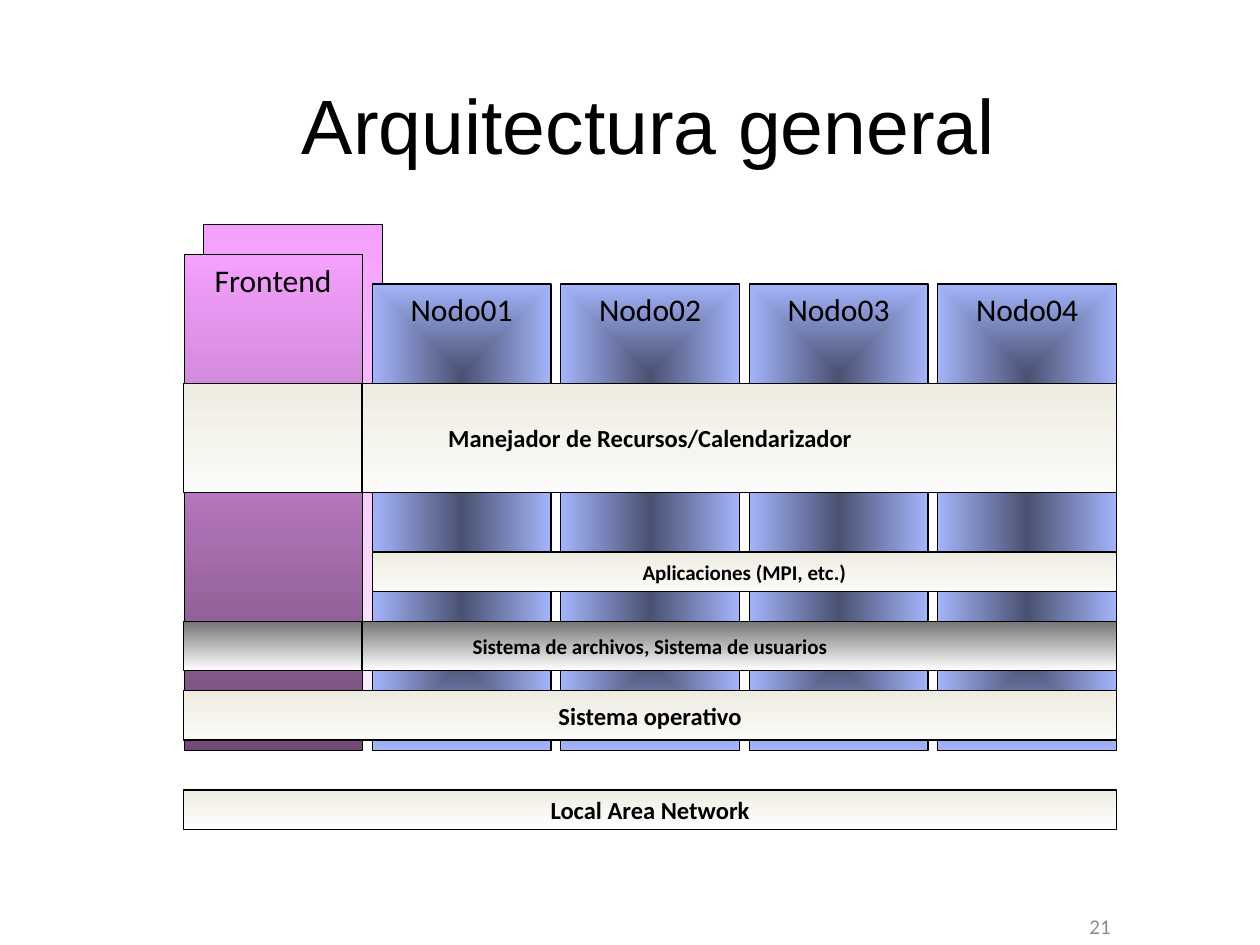
from lxml import etree
from pptx import Presentation
from pptx.dml.color import RGBColor
from pptx.enum.shapes import MSO_CONNECTOR, MSO_SHAPE
from pptx.enum.text import MSO_ANCHOR, PP_ALIGN
from pptx.oxml.ns import qn
from pptx.util import Pt

RECTANGLE = MSO_SHAPE.RECTANGLE
STRAIGHT = MSO_CONNECTOR.STRAIGHT
TOP, MIDDLE = MSO_ANCHOR.TOP, MSO_ANCHOR.MIDDLE
CENTER = PP_ALIGN.CENTER
color = RGBColor.from_string


def write(shape, text, size, anchor, bold=False, font="Calibri", ink="000000", wrap=False):
    frame = shape.text_frame
    frame.word_wrap = wrap
    frame.vertical_anchor = anchor
    paragraph = frame.paragraphs[0]
    paragraph.text = text
    paragraph.alignment = CENTER
    paragraph.font.name = font
    paragraph.font.size = Pt(size)
    paragraph.font.bold = bold
    paragraph.font.color.rgb = color(ink)


def add_block(left, top, width, height, start, end, line_width=0.75):
    shape = slide.shapes.add_shape(RECTANGLE, Pt(left), Pt(top), Pt(width), Pt(height))
    shape.shadow.inherit = False
    shape.fill.gradient()
    shape.fill.gradient_angle = 270
    for stop, shade in zip(shape.fill.gradient_stops, (start, end)):
        stop.color.rgb = color(shade)
    shape.line.color.rgb = color("000000")
    shape.line.width = Pt(line_width)
    return shape


presentation = Presentation()
presentation.slide_width = Pt(720)
presentation.slide_height = Pt(540)
slide = presentation.slides.add_slide(presentation.slide_layouts[6])

left, column_width, pitch = 105, 102.2, 107.7
node_left = left + pitch
full_width = 4 * pitch + column_width
node_span = full_width - pitch

add_block(116.3, 128.2, column_width, 289.4, "F5A0FE", "FDF3FF")
frontend = add_block(left, 145.4, column_width, 283.4, "F5A0FE", "704A75", 0.25)
write(frontend, "Frontend", 18, TOP)

for index in range(4):
    node = add_block(node_left + index * pitch, 162.3, column_width, 266.5, "4A5272", "A4B4FA")
    linear = node.fill._xPr.find(".//" + qn("a:lin"))
    path = etree.Element(qn("a:path"), path="shape")
    etree.SubElement(path, qn("a:fillToRect"), l="50000", t="50000", r="50000", b="50000")
    linear.getparent().replace(linear, path)
    write(node, f"Nodo{index + 1:02}", 18, TOP)

layers = [
    ("Local Area Network", left, 451.4, full_width, 22.6, "EEECE1", "FFFFFF", 14),
    ("Sistema de archivos, Sistema de usuarios", left, 355, full_width, 28.3, "757575", "FFFFFF", 12),
    ("Aplicaciones (MPI, etc.)", node_left, 315.4, node_span, 22.6, "EEECE1", "FBFBF9", 12),
    ("Sistema operativo", left, 394.6, full_width, 28.3, "EEECE1", "FAFAF7", 14),
    ("Manejador de Recursos/Calendarizador", left, 219, full_width, 62.4, "EEECE1", "FBFBF9", 14),
]
for text, layer_left, top, width, height, start, end, size in layers:
    layer = add_block(layer_left, top, width, height, start, end)
    write(layer, text, size, MIDDLE, bold=True)

divider_left = 206.8
for top, height in ((355, 28.3), (219, 62.4)):
    divider = slide.shapes.add_connector(
        STRAIGHT, Pt(divider_left), Pt(top), Pt(divider_left), Pt(top + height))
    divider.line.color.rgb = color("000000")
    divider.line.width = Pt(0.75)
    etree.SubElement(divider._element.spPr, qn("a:effectLst"))

title = slide.shapes.add_textbox(Pt(56.2), Pt(36), Pt(629.3), Pt(69.8))
write(title, "Arquitectura general", 44, MIDDLE, font="Arial", wrap=True)

page_number = slide.shapes.add_textbox(Pt(553.7), Pt(519.8), Pt(149.8), Pt(18.7))
write(page_number, "21", 12, MIDDLE, ink="8C8C8C", wrap=True)

presentation.save("out.pptx")
